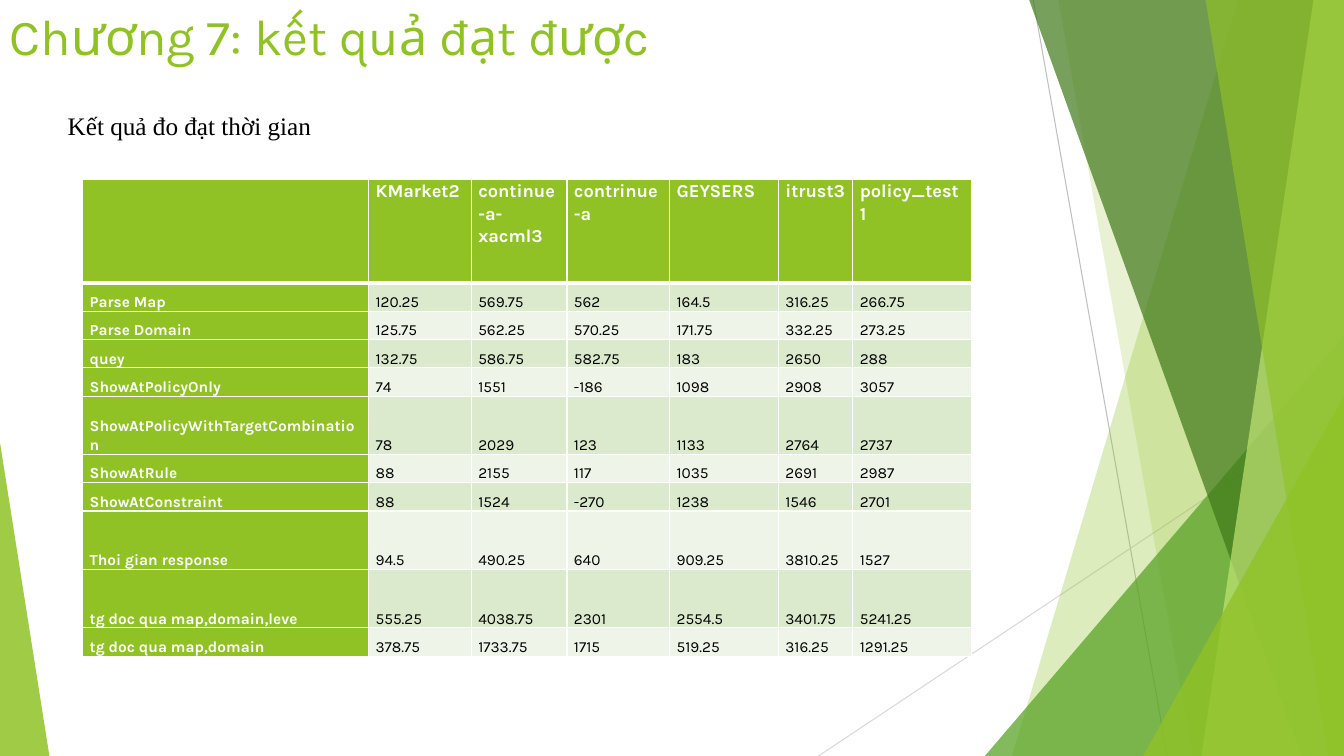
from lxml.etree import SubElement
from pptx import Presentation
from pptx.dml.color import RGBColor
from pptx.enum.shapes import MSO_CONNECTOR, MSO_SHAPE
from pptx.enum.text import MSO_ANCHOR
from pptx.oxml.ns import qn
from pptx.util import Inches, Pt

COLORS = {
    "lime": "90C226", "green": "54A021", "forest": "3F7819", "pale": "C0E474",
    "band_dark": "DBE9CD", "band_light": "EEF4E8", "white": "FFFFFF",
    "black": "000000", "line_dark": "BFBFBF", "line_light": "D9D9D9",
}
SLIDE_W, SLIDE_H = Inches(13.333), Inches(7.5)

POLICIES = ["", "KMarket2", "continue-a-xacml3", "contrinue-a", "GEYSERS",
            "itrust3", "policy_test1"]
TIMINGS = [
    ("Parse Map", "120.25", "569.75", "562", "164.5", "316.25", "266.75"),
    ("Parse Domain", "125.75", "562.25", "570.25", "171.75", "332.25", "273.25"),
    ("quey", "132.75", "586.75", "582.75", "183", "2650", "288"),
    ("ShowAtPolicyOnly", "74", "1551", "-186", "1098", "2908", "3057"),
    ("ShowAtPolicyWithTargetCombination", "78", "2029", "123", "1133", "2764", "2737"),
    ("ShowAtRule", "88", "2155", "117", "1035", "2691", "2987"),
    ("ShowAtConstraint", "88", "1524", "-270", "1238", "1546", "2701"),
    ("Thoi gian response", "94.5", "490.25", "640", "909.25", "3810.25", "1527"),
    ("tg doc qua map,domain,leve", "555.25", "4038.75", "2301", "2554.5", "3401.75", "5241.25"),
    ("tg doc qua map,domain", "378.75", "1733.75", "1715", "519.25", "316.25", "1291.25"),
]
COLUMN_WEIGHTS = [2.84, 1.02, 0.95, 1.02, 1.08, 0.74, 1.18]
HEADER_WEIGHT, SINGLE_WEIGHT, DOUBLE_WEIGHT = 1.03, 0.28, 0.58
DOUBLE_ROWS = {5, 8, 9}


def x_at(percent):
    return round(SLIDE_W * percent / 100)


def y_at(percent):
    return round(SLIDE_H * percent / 100)


def box_of(left, top, width, height):
    """Turn percentages of the slide into a box of lengths."""
    return x_at(left), y_at(top), x_at(width), y_at(height)


def rgb(name):
    return RGBColor.from_string(COLORS[name])


def paint(shape, color, opacity):
    shape.shadow.inherit = False
    shape.line.fill.background()
    shape.fill.solid()
    shape.fill.fore_color.rgb = rgb(color)
    tint = shape.fill._xPr.find(qn("a:solidFill"))[0]
    SubElement(tint, qn("a:alpha"), val=str(opacity * 1000))


def add_ray(slide, start, end, color):
    ray = slide.shapes.add_connector(
        MSO_CONNECTOR.STRAIGHT,
        x_at(start[0]), y_at(start[1]), x_at(end[0]), y_at(end[1]))
    ray.line.color.rgb = rgb(color)
    ray.line.width = Pt(0.75)
    SubElement(ray._element.spPr, qn("a:effectLst"))


def add_band(slide, top_x, bottom_x, color, opacity):
    """Fill from a slanted left edge to the right side of the slide."""
    outline = slide.shapes.build_freeform(x_at(top_x), 0)
    outline.add_line_segments([
        (SLIDE_W, 0), (SLIDE_W, SLIDE_H), (x_at(bottom_x), SLIDE_H)], close=True)
    paint(outline.convert_to_shape(), color, opacity)


def add_corner(slide, box, apex, color, opacity):
    corner = slide.shapes.add_shape(MSO_SHAPE.ISOSCELES_TRIANGLE, *box)
    corner.adjustments[0] = apex
    paint(corner, color, opacity)


def add_facets(slide):
    add_ray(slide, (76.88, 0), (86.85, 100), "line_dark")
    add_ray(slide, (100, 53.73), (60.9, 100), "line_light")
    add_band(slide, 92.1, 75.3, "lime", 30)
    add_band(slide, 78.75, 88.73, "lime", 20)
    add_corner(slide, box_of(73.28, 44.4, 26.72, 55.6), 1, "green", 72)
    add_band(slide, 76.58, 96.83, "forest", 70)
    add_band(slide, 97.73, 89.4, "pale", 70)
    add_band(slide, 89.7, 98.85, "lime", 65)
    add_corner(slide, box_of(85.05, 52.4, 14.95, 47.6), 1, "lime", 80)
    add_corner(slide, box_of(0, 58.53, 3.68, 41.47), 0, "lime", 85)


def style_text(paragraph, size, color, font="Karla", bold=False):
    for run in paragraph.runs:
        run.font.size = Pt(size)
        run.font.name = font
        run.font.bold = bold
        run.font.color.rgb = rgb(color)


def add_heading(slide, box, text, size, color, font, wrap):
    frame = slide.shapes.add_textbox(*box).text_frame
    frame.word_wrap = wrap
    frame.vertical_anchor = MSO_ANCHOR.TOP
    frame.text = text
    style_text(frame.paragraphs[0], size, color, font)
    return frame.paragraphs[0]


def add_borders(cell, top, bottom):
    """Draw white borders; top and bottom are widths in points."""
    properties = cell._tc.get_or_add_tcPr()
    for side, width in (("L", 1), ("R", 1), ("T", top), ("B", bottom)):
        edge = SubElement(properties, qn(f"a:ln{side}"), w=str(Pt(width)))
        fill = SubElement(edge, qn("a:solidFill"))
        SubElement(fill, qn("a:srgbClr"), val=COLORS["white"])


def fill_cell(cell, text, row, column):
    is_header, is_label = row == 0, column == 0
    add_borders(cell, 3 if row == 1 else 1, 3 if is_header else 1)
    cell.fill.solid()
    banding = "band_dark" if row % 2 else "band_light"
    cell.fill.fore_color.rgb = rgb("lime" if is_header or is_label else banding)
    cell.margin_left = cell.margin_right = Inches(0.07)
    cell.margin_top = cell.margin_bottom = 0
    cell.vertical_anchor = MSO_ANCHOR.TOP if is_header else MSO_ANCHOR.BOTTOM
    cell.text_frame.text = text
    paragraph = cell.text_frame.paragraphs[0]
    paragraph.line_spacing = 1.07
    style_text(paragraph, 13 if is_header else 11,
               "white" if is_header or is_label else "black",
               bold=is_header or is_label)


def add_timings(slide, box):
    rows = [POLICIES, *TIMINGS]
    table = slide.shapes.add_table(len(rows), len(POLICIES), *box).table
    row_weights = [HEADER_WEIGHT] + [
        DOUBLE_WEIGHT if row in DOUBLE_ROWS else SINGLE_WEIGHT
        for row in range(1, len(rows))]
    for column, weight in zip(table.columns, COLUMN_WEIGHTS):
        column.width = round(box[2] * weight / sum(COLUMN_WEIGHTS))
    for row, weight in zip(table.rows, row_weights):
        row.height = round(box[3] * weight / sum(row_weights))
    for r, values in enumerate(rows):
        for c, value in enumerate(values):
            fill_cell(table.cell(r, c), value, r, c)


def main():
    deck = Presentation()
    deck.slide_width, deck.slide_height = SLIDE_W, SLIDE_H
    slide = deck.slides.add_slide(deck.slide_layouts[6])
    add_facets(slide)
    add_heading(slide, box_of(0, 0, 70.5, 19.2), "Chương 7: kết quả đạt được",
                36, "lime", "Karla", True)
    add_timings(slide, box_of(6.15, 23.73, 66.15, 63.07))
    subtitle = add_heading(slide, box_of(3.83, 13.6, 20.33, 5.73),
                           " Kết quả đo đạt thời gian",
                           18, "black", "Times New Roman", False)
    subtitle.line_spacing = 1.07
    subtitle.space_after = Pt(8)
    deck.save("out.pptx")


if __name__ == "__main__":
    main()
